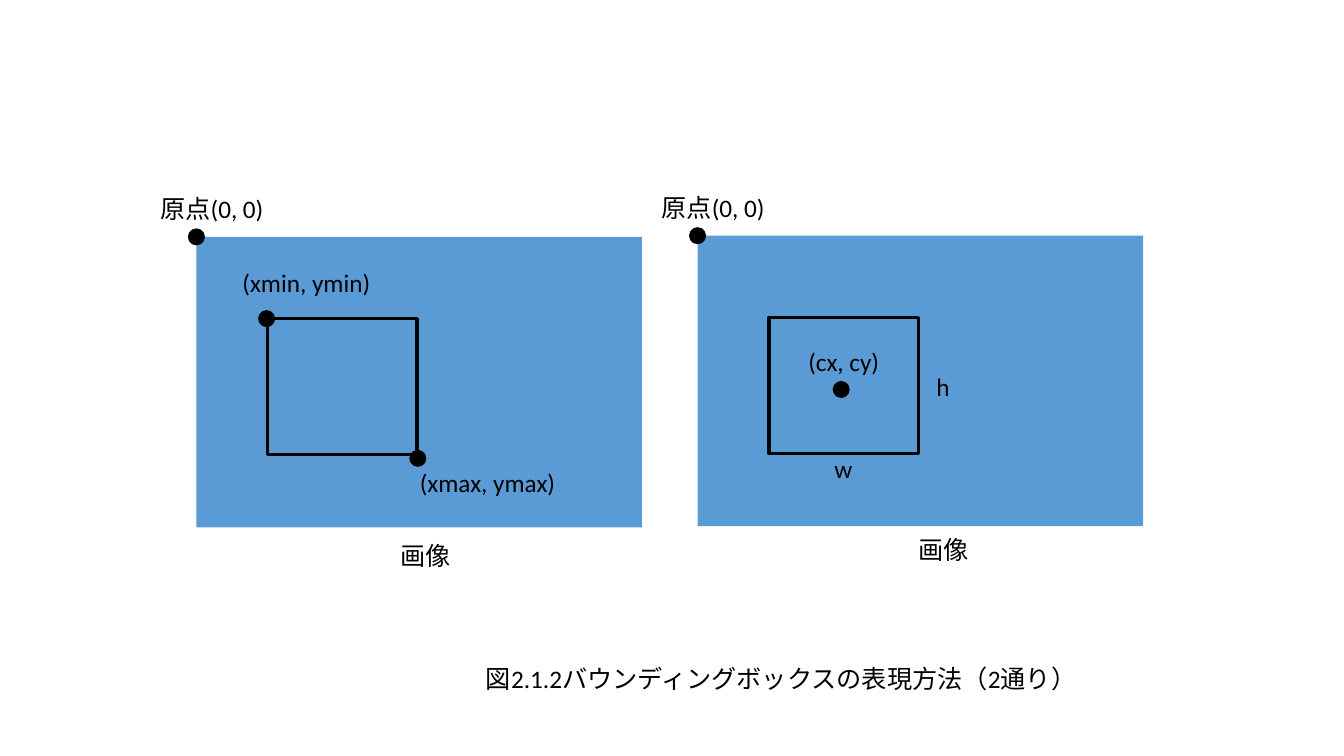
from pptx import Presentation
from pptx import util as u
from pptx.dml.color import RGBColor
from pptx.enum import shapes, text

COLORS = {"image": "5B9BD5", "ink": "000000"}
FONT = "Calibri"
DOT = 0.43
LABEL_H = 1.02
IMAGE_W, IMAGE_H = 11.23, 7.32
BOX_X, BOX_Y, BOX_W, BOX_H = 1.8, 2.06, 3.76, 3.43  # bounding box within the image


def color(name):
    return RGBColor.from_string(COLORS[name])


def write(sp, content):
    tf = sp.text_frame
    tf.text = content
    tf.word_wrap = True
    tf.auto_size = text.MSO_AUTO_SIZE.SHAPE_TO_FIT_TEXT
    tf.vertical_anchor = text.MSO_ANCHOR.TOP
    p = tf.paragraphs[0]
    p.alignment = text.PP_ALIGN.LEFT
    p.font.name, p.font.size = FONT, u.Pt(18)
    p.font.color.rgb = color("ink")


def add_label(s, content, x, y, w):
    write(s.shapes.add_textbox(u.Cm(x), u.Cm(y), u.Cm(w), u.Cm(LABEL_H)), content)


def add_shape(s, kind, x, y, w, h, fill=None):
    sp = s.shapes.add_shape(kind, u.Cm(x), u.Cm(y), u.Cm(w), u.Cm(h))
    sp.shadow.inherit = False
    if fill:
        sp.fill.solid()
        sp.fill.fore_color.rgb = color(fill)
        sp.line.fill.background()
    else:
        sp.fill.background()
        sp.line.color.rgb = color("ink")
        sp.line.width = u.Pt(2.25)


def add_dot(s, cx, cy):
    add_shape(s, shapes.MSO_SHAPE.OVAL, cx - DOT / 2, cy - DOT / 2, DOT, DOT, "ink")


def add_panel(s, x, y, dots, labels):
    """Image with its origin and bounding box; dots and labels are offsets from (x, y)."""
    rect = shapes.MSO_SHAPE.RECTANGLE
    add_shape(s, rect, x, y, IMAGE_W, IMAGE_H, "image")
    add_shape(s, rect, x + BOX_X, y + BOX_Y, BOX_W, BOX_H)
    for dx, dy in [(0, 0)] + dots:
        add_dot(s, x + dx, y + dy)
    for content, dx, dy, w in [("原点(0, 0)", -1.16, -1.22, 3.15)] + labels:
        add_label(s, content, x + dx, y + dy, w)


def add_caption(s, content, x, y, w):
    title = s.shapes.title
    title.left, title.top, title.width, title.height = map(u.Cm, (x, y, w, LABEL_H))
    write(title, content)


def main():
    prs = Presentation()
    prs.slide_width, prs.slide_height = u.Cm(33.87), u.Cm(19.05)
    s = prs.slides.add_slide(prs.slide_layouts[5])

    # Figure caption
    add_caption(s, "図2.1.2バウンディングボックスの表現方法（2通り）", 11.99, 16.59, 15.75)

    # Left: two opposite corners
    add_panel(
        s, 4.95, 5.97,
        [(BOX_X - 0.03, BOX_Y), (BOX_X + BOX_W + 0.02, BOX_Y + BOX_H + 0.09)],
        [("(xmin, ymin)", 0.91, 0.64, 3.78),
         ("(xmax, ymax)", 5.38, 5.69, 3.96),
         ("画像", 4.9, 7.52, 1.8)])

    # Right: centre, width and height
    add_panel(
        s, 17.58, 5.94,
        [(BOX_X + BOX_W / 2 - 0.06, BOX_Y + BOX_H / 2 + 0.1)],
        [("(cx, cy)", 2.54, 2.67, 2.31),
         ("w", 3.2, 5.36, 0.97),
         ("h", 5.77, 3.28, 0.86),
         ("画像", 5.31, 7.39, 1.8)])

    prs.save("out.pptx")


if __name__ == "__main__":
    main()
